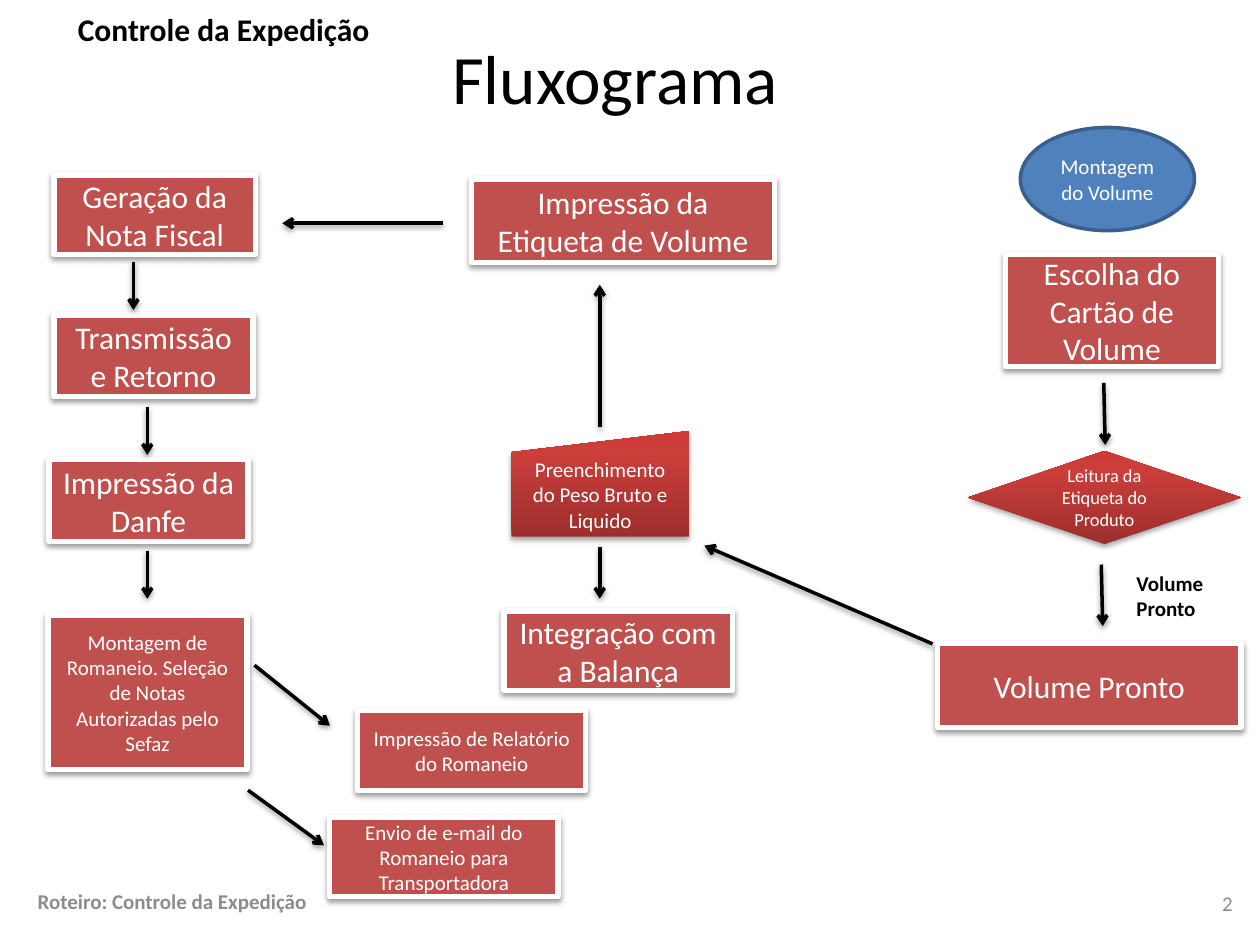
from pptx import Presentation
from pptx.dml.color import RGBColor
from pptx.enum.shapes import MSO_CONNECTOR as CONN, MSO_SHAPE as SHAPE
from pptx.enum.text import MSO_ANCHOR as ANCHOR, PP_ALIGN as ALIGN
from pptx.oxml import parse_xml
from pptx.oxml.ns import nsdecls, qn
from pptx.util import Cm, Pt
from copy import deepcopy

C = {"red": "C0504D", "blue": "4F81BD", "navy": "3A5F8C", "white": "FFFFFF",
     "black": "000000", "gray": "8C8C8C"}
GRADIENT = [(0, "9C2F2D"), (0.8, "CB3E3A"), (1, "CE3B37")]

prs = Presentation()
prs.slide_width, prs.slide_height = Cm(25.4), Cm(19.05)
s = prs.slides.add_slide(prs.slide_layouts[6])


def write(sp, text, size, color, bold=False, align=ALIGN.CENTER, anchor=ANCHOR.MIDDLE, wrap=True):
    tf = sp.text_frame
    tf.text = text
    tf.word_wrap = wrap
    tf.vertical_anchor = anchor
    p = tf.paragraphs[0]
    p.alignment = align
    font = p.runs[0].font
    font.name, font.size, font.bold = "Calibri", Pt(size), bold
    font.color.rgb = RGBColor.from_string(C[color])


def add_shadow(sp, dist, alpha):
    spPr = sp._element.spPr
    for old in spPr.findall(qn("a:effectLst")):
        spPr.remove(old)
    spPr.append(parse_xml(
        f'<a:effectLst {nsdecls("a")}><a:outerShdw blurRad="40000" dist="{dist}" dir="5400000" '
        f'rotWithShape="0"><a:srgbClr val="000000"><a:alpha val="{alpha}000"/></a:srgbClr>'
        '</a:outerShdw></a:effectLst>'))


labels = [
    ("Fluxograma", 0.97, 0.79, 22.86, 1.5, 39.6, "black", False, ALIGN.CENTER, ANCHOR.MIDDLE, True),
    ("2", 19.18, 17.7, 5.92, 1.02, 12, "gray", False, ALIGN.RIGHT, ANCHOR.MIDDLE, True),
    ("Roteiro: Controle da Expedição", 0.51, 17.65, 22.61, 1.02, 12, "gray", True,
     ALIGN.LEFT, ANCHOR.MIDDLE, True),
    ("Controle da Expedição", 1.32, 0.08, 6.43, 1.02, 18, "black", True,
     ALIGN.LEFT, ANCHOR.TOP, False),
    ("Volume Pronto", 22.66, 11.38, 1.93, 1.27, 12, "black", True, ALIGN.LEFT, ANCHOR.TOP, True),
]
for text, x, y, w, h, *style in labels:
    write(s.shapes.add_textbox(Cm(x), Cm(y), Cm(w), Cm(h)), text, *style)

steps = [
    ("Geração da Nota Fiscal", 1.09, 3.53, 4.06, 1.6, 18),
    ("Transmissão e Retorno", 1.09, 6.35, 4.01, 1.65, 18),
    ("Impressão da Danfe", 0.99, 9.27, 4.01, 1.65, 18),
    ("Montagem de Romaneio. Seleção de Notas Autorizadas pelo Sefaz", 0.97, 12.4, 4.01, 3.12, 12),
    ("Impressão de Relatório do Romaneio", 7.21, 14.33, 4.6, 1.6, 12),
    ("Envio de e-mail do Romaneio para Transportadora", 6.65, 16.48, 4.6, 1.6, 12),
    ("Impressão da Etiqueta de Volume", 9.5, 3.61, 6.12, 1.68, 18),
    ("Integração com a Balança", 10.16, 12.32, 4.6, 1.6, 18),
    ("Escolha do Cartão de Volume", 20.27, 5.13, 4.29, 2.26, 18),
    ("Volume Pronto", 18.9, 12.98, 6.12, 1.68, 18),
]
for text, x, y, w, h, size in steps:
    sp = s.shapes.add_shape(SHAPE.FLOWCHART_PROCESS, Cm(x), Cm(y), Cm(w), Cm(h))
    sp.fill.solid()
    sp.fill.fore_color.rgb = RGBColor.from_string(C["red"])
    sp.line.color.rgb = RGBColor.from_string(C["white"])
    sp.line.width = Pt(3)
    add_shadow(sp, 20000, 38)
    write(sp, text, size, "white")

start = s.shapes.add_shape(SHAPE.OVAL, Cm(20.57), Cm(2.57), Cm(3.51), Cm(2.08))
start.shadow.inherit = False
start.fill.solid()
start.fill.fore_color.rgb = RGBColor.from_string(C["blue"])
start.line.color.rgb = RGBColor.from_string(C["navy"])
start.line.width = Pt(2)
write(start, "Montagem do Volume", 12, "white")

inputs = [
    (SHAPE.FLOWCHART_DECISION, "Leitura da Etiqueta do Produto", 19.51, 9.09, 5.51, 1.88, 10.5),
    (SHAPE.FLOWCHART_MANUAL_INPUT, "Preenchimento do Peso Bruto e Liquido",
     10.31, 8.69, 3.58, 2.13, 12),
]
for kind, text, x, y, w, h, size in inputs:
    sp = s.shapes.add_shape(kind, Cm(x), Cm(y), Cm(w), Cm(h))
    sp.fill.gradient()
    sp.fill.gradient_angle = 90
    stops = sp._element.spPr.find(".//" + qn("a:gsLst"))
    stops.append(deepcopy(stops[-1]))
    for stop, (position, color) in zip(sp.fill.gradient_stops, GRADIENT):
        stop.position = position
        stop.color.rgb = RGBColor.from_string(color)
    sp.line.fill.background()
    add_shadow(sp, 23000, 35)
    write(sp, text, size, "white")

arrows = [
    (2.69, 5.28, 2.69, 6.25), (2.97, 8.2, 2.97, 9.17), (2.97, 11.1, 2.97, 12.07),
    (5.13, 13.41, 6.65, 14.63), (5, 15.93, 6.53, 17.04),
    (8.94, 4.5, 5.69, 4.5), (12.09, 8.61, 12.09, 5.74), (12.09, 11.02, 12.09, 12.07),
    (22.25, 7.72, 22.28, 8.97), (22.2, 11.38, 22.23, 12.62), (18.8, 12.98, 14.2, 11),
]
for ends in arrows:
    arrow = s.shapes.add_connector(CONN.STRAIGHT, *[Cm(v) for v in ends])
    arrow.line.color.rgb = RGBColor.from_string(C["black"])
    arrow.line.width = Pt(2)
    arrow.line._get_or_add_ln().append(parse_xml(f'<a:tailEnd {nsdecls("a")} type="arrow"/>'))
    add_shadow(arrow, 20000, 38)

prs.save("out.pptx")
